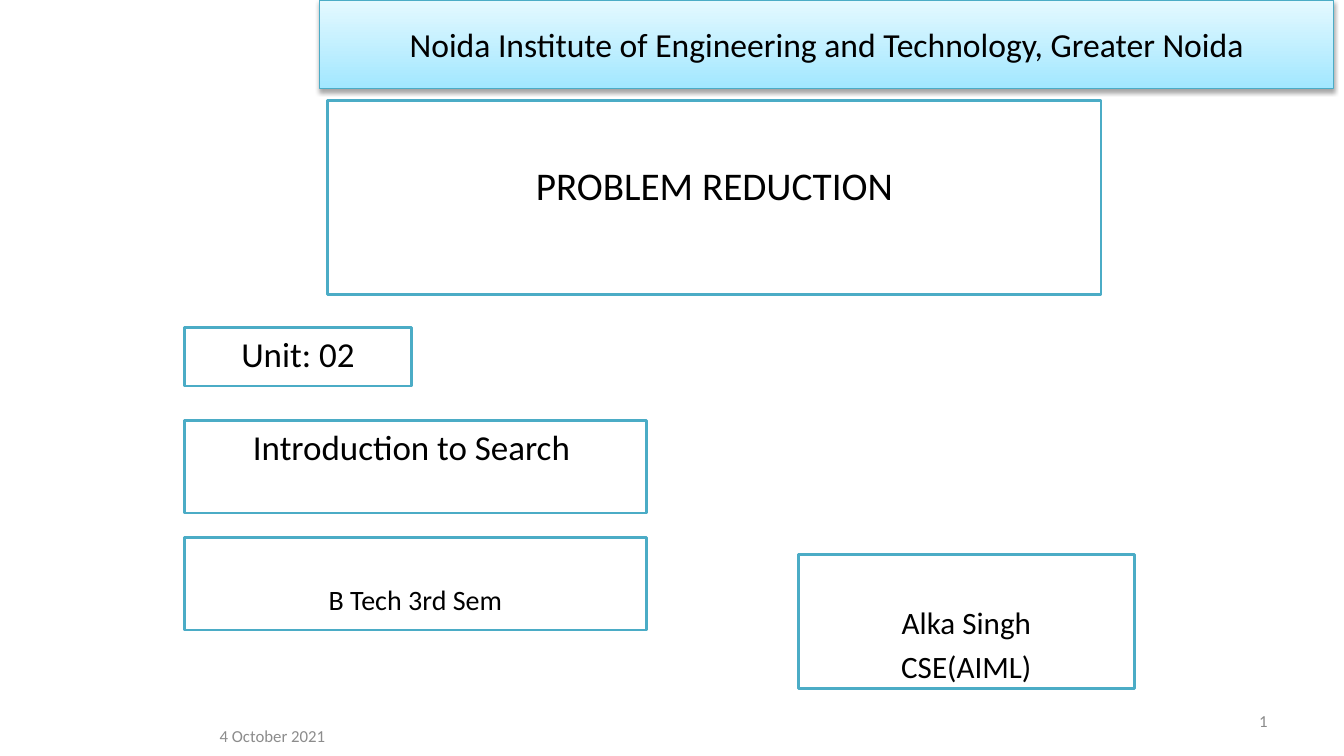
from dataclasses import dataclass

from lxml import etree
from pptx import Presentation
from pptx.dml.color import RGBColor
from pptx.enum.shapes import MSO_SHAPE
from pptx.enum.text import MSO_ANCHOR, PP_ALIGN
from pptx.oxml import parse_xml
from pptx.oxml.ns import nsdecls
from pptx.shapes.autoshape import Shape
from pptx.slide import Slide
from pptx.util import Inches, Pt

RECTANGLE = MSO_SHAPE.RECTANGLE
TOP, MIDDLE = MSO_ANCHOR.TOP, MSO_ANCHOR.MIDDLE
LEFT, CENTER, RIGHT = PP_ALIGN.LEFT, PP_ALIGN.CENTER, PP_ALIGN.RIGHT

FONT = "Calibri"
COLORS = {
    "ink": "000000",
    "panel": "FFFFFF",
    "border": "4BACC6",
    "banner_top": "E4F9FF",
    "banner_bottom": "A2E7FF",
    "date": "8C8C8C",
    "number": "898989",
}
DETAILS_LEFT = 1.83
DETAILS_WIDTH = 4.58


@dataclass(frozen=True)
class Panel:
    left: float
    top: float
    width: float
    height: float
    lines: tuple[str, ...]
    size: float
    inset: float = 0.05


@dataclass(frozen=True)
class FooterNote:
    left: float
    top: float
    width: float
    text: str
    color: str
    align: PP_ALIGN


PANELS = (
    Panel(3.25, 1, 7.67, 1.92, ("PROBLEM REDUCTION",), 28, 0.6),
    Panel(7.92, 5.5, 3.33, 1.33, ("Alka Singh", "CSE(AIML)"), 22.2, 0.49),
    Panel(DETAILS_LEFT, 3.25, 2.25, 0.58, ("Unit: 02",), 25),
    Panel(DETAILS_LEFT, 4.17, DETAILS_WIDTH, 0.92, ("Introduction to Search ",), 25),
    Panel(DETAILS_LEFT, 5.33, DETAILS_WIDTH, 0.92, ("B Tech 3rd Sem",), 20, 0.45),
)
FOOTER_NOTES = (
    FooterNote(2.08, 7.1, 2.33, "4 October 2021", "date", LEFT),
    FooterNote(9.56, 6.95, 3.11, "1", "number", RIGHT),
)


def rgb(name: str) -> RGBColor:
    return RGBColor.from_string(COLORS[name])


def write(shape: Shape, lines: tuple[str, ...], size: float, color: str,
          align: PP_ALIGN, anchor: MSO_ANCHOR) -> None:
    """Write one paragraph per line, spaced by a fifth of the text size."""
    frame = shape.text_frame
    frame.word_wrap = True
    frame.vertical_anchor = anchor
    for index, line in enumerate(lines):
        paragraph = frame.add_paragraph() if index else frame.paragraphs[0]
        paragraph.alignment = align
        if index:
            paragraph.space_before = Pt(size * 0.2)
        run = paragraph.add_run()
        run.text = line
        run.font.name = FONT
        run.font.size = Pt(size)
        run.font.color.rgb = rgb(color)


def add_rectangle(slide: Slide, left: float, top: float, width: float,
                  height: float, line_width: float) -> Shape:
    rectangle = slide.shapes.add_shape(
        RECTANGLE, Inches(left), Inches(top), Inches(width), Inches(height))
    rectangle.shadow.inherit = False
    rectangle.line.color.rgb = rgb("border")
    rectangle.line.width = Pt(line_width)
    return rectangle


def add_banner(slide: Slide) -> None:
    banner = add_rectangle(slide, 3.17, 0, 10.06, 0.88, 0.75)
    banner.fill.gradient()
    banner.fill.gradient_angle = 270
    for stop, name in zip(banner.fill.gradient_stops, ("banner_top", "banner_bottom")):
        stop.color.rgb = rgb(name)
    effects = banner.shadow._element.find(
        "{http://schemas.openxmlformats.org/drawingml/2006/main}effectLst")
    shadow = parse_xml(
        f'<a:outerShdw {nsdecls("a")} blurRad="40000" dist="23000" dir="5400000" '
        'rotWithShape="0"><a:srgbClr val="000000"><a:alpha val="35000"/>'
        '</a:srgbClr></a:outerShdw>')
    effects.append(shadow)
    etree.cleanup_namespaces(effects)
    write(banner, ("Noida Institute of Engineering and Technology, Greater Noida",),
          24, "ink", CENTER, MIDDLE)


def add_panel(slide: Slide, panel: Panel) -> None:
    box = add_rectangle(slide, panel.left, panel.top, panel.width, panel.height, 2)
    box.fill.solid()
    box.fill.fore_color.rgb = rgb("panel")
    box.text_frame.margin_top = Inches(panel.inset)
    write(box, panel.lines, panel.size, "ink", CENTER, TOP)


def add_footer_note(slide: Slide, note: FooterNote) -> None:
    box = slide.shapes.add_textbox(
        Inches(note.left), Inches(note.top), Inches(note.width), Inches(0.4))
    write(box, (note.text,), 12, note.color, note.align, MIDDLE)


def main() -> None:
    presentation = Presentation()
    presentation.slide_width = Inches(13.33)
    presentation.slide_height = Inches(7.5)
    slide = presentation.slides.add_slide(presentation.slide_layouts[6])
    add_banner(slide)
    for panel in PANELS:
        add_panel(slide, panel)
    for note in FOOTER_NOTES:
        add_footer_note(slide, note)
    presentation.save("out.pptx")


if __name__ == "__main__":
    main()
